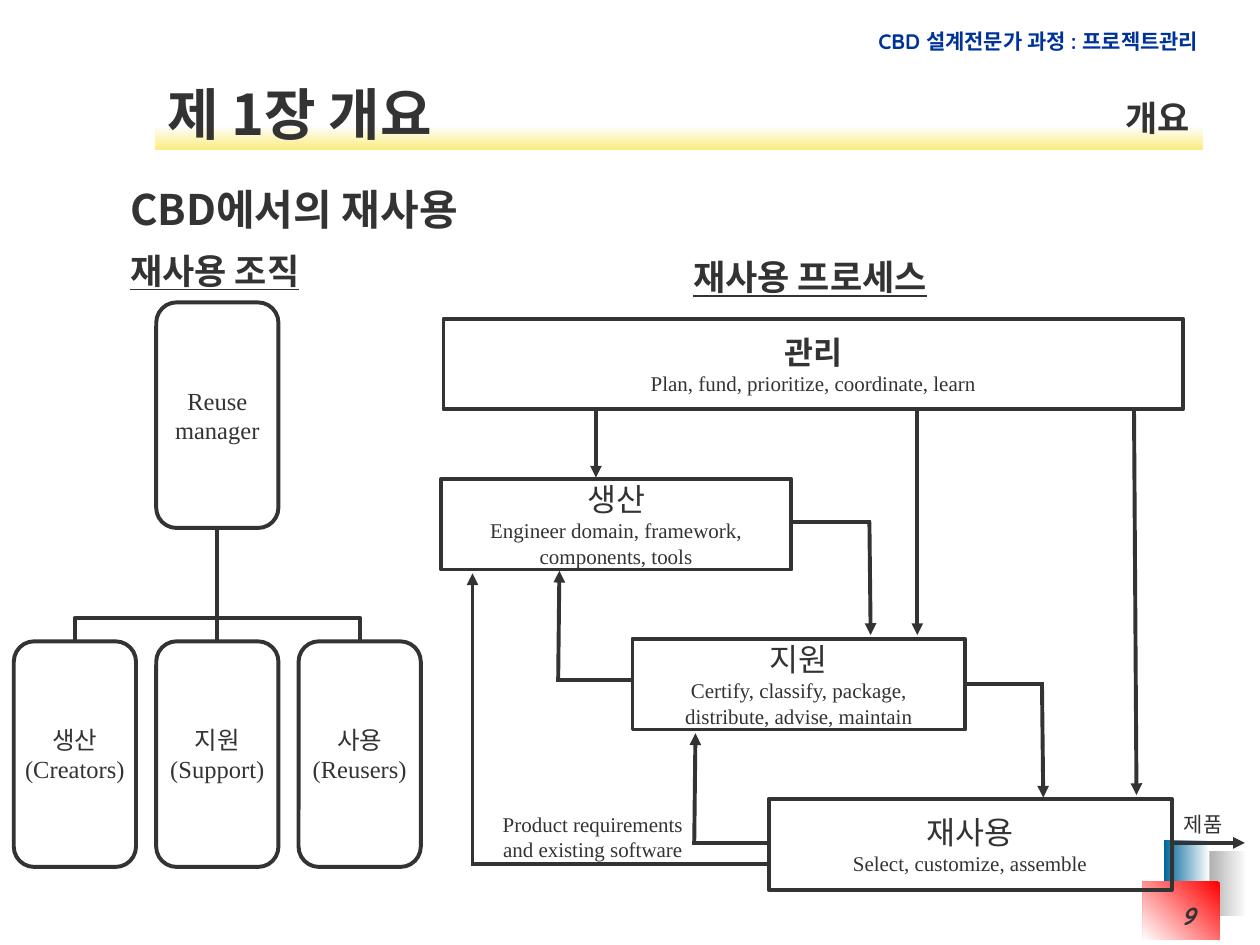
"""Build the slide on reuse roles and the reuse process in CBD."""
from itertools import pairwise

from lxml.etree import SubElement as Sub
from pptx import Presentation
from pptx.dml.color import RGBColor as Rgb
from pptx.enum.shapes import MSO_CONNECTOR as Link, MSO_SHAPE as Kind
from pptx.enum.text import MSO_ANCHOR as Anchor, MSO_AUTO_SIZE as Fit, PP_ALIGN as Align
from pptx.oxml.ns import qn
from pptx.util import Inches as In, Pt

WIDE, HIGH = 10, 7.5
HUE = {"ink": "333333", "navy": "003399", "white": "FFFFFF", "gray": "969696",
       "blue": "006699", "red": "FF0000", "pale": "FEFEFE", "gold": "FBEC7F"}
SERIF, SANS, ROUND = "Times New Roman", "Noto Sans CJK KR", "Quicksand"
SIDE = {"l": Align.LEFT, "c": Align.CENTER, "r": Align.RIGHT}

BLOCKS = [
    ((9.5, 6.75, 0.4, 0.52), "white", "gray", 180),
    ((9.24, 6.67, 0.36, 0.52), "white", "blue", 180),
    ((9.07, 7, 0.61, 0.46), "red", "white", 225),
    ((1.23, 1, 8.32, 0.19), "pale", "gold", 270),
]
STEPS = [
    (3.52, 5.87, "관리", ["Plan, fund, prioritize, coordinate, learn"]),
    (3.5, 2.78, "생산", ["Engineer domain, framework,", "components, tools"]),
    (5.02, 2.64, "지원", ["Certify, classify, package,", "distribute, advise, maintain"]),
    (6.1, 3.2, "재사용", ["Select, customize, assemble"]),
]
STEP_TOP, STEP_GAP, STEP_HIGH = 2.53, 1.27, 0.72
FLOWS = [
    [(4.73, 3.26), (4.73, 3.79)],
    [(7.28, 3.24), (7.28, 5.04)],
    [(9, 3.24), (9.02, 6.31)],
    [(9.3, 6.69), (9.88, 6.69)],
    [(5.01, 5.4), (4.43, 5.4), (4.44, 4.53)],
    [(6.09, 6.69), (5.51, 6.69), (5.52, 5.82)],
    [(6.09, 6.86), (3.75, 6.86), (3.75, 4.55)],
    [(6.28, 4.14), (6.9, 4.14), (6.91, 5.04)],
    [(7.66, 5.43), (8.27, 5.43), (8.28, 6.33)],
]
ROLES = [(1, 0, ["Reuse", "manager"]), (0, 1, ["생산", "(Creators)"]),
         (1, 1, ["지원", "(Support)"]), (2, 1, ["사용", "(Reusers)"])]
ROLE_LEFT, ROLE_TOP, COL, ROW = 0.11, 2.4, 1.13, 2.69
ROLE_WIDE, ROLE_HIGH, BEND = 0.97, 1.79, 0.208
LABELS = [
    ((6.75, 0.18, 2.86, 0.3), ["CBD 설계전문가 과정 : 프로젝트관리"],
     dict(size=12, face=ROUND, hue="navy", bold=True, side="r")),
    ((3.89, 6.39, 1.63, 0.5), ["Product requirements", "and existing software"], dict(size=12)),
    ((9.27, 6.39, 0.56, 0.3), ["제품"], dict(size=12)),
    ((5.33, 1.98, 2.2, 0.44), ["재사용 프로세스"], dict(size=20, bold=True, under=True)),
    ((0.89, 1.93, 1.63, 0.44), ["재사용 조직"],
     dict(size=20, bold=True, under=True, wrap=True)),
    ((1.23, 0.59, 2.86, 0.61), ["제 1장 개요"],
     dict(size=32, face=SANS, bold=True, side="l", mid=True, wrap=True)),
    ((8.83, 0.72, 0.71, 0.44), ["개요"], dict(size=20, face=SANS, bold=True, side="r")),
    ((0.84, 1.41, 2.89, 0.5), ["CBD에서의 재사용"],
     dict(size=24, face=SANS, bold=True, side="r")),
    ((8.35, 7.1, 1.23, 0.4), ["9"],
     dict(size=14, face=ROUND, bold=True, slant=True, side="r", wrap=True)),
]


def color(name):
    return Rgb.from_string(HUE[name])


def write(shape, lines, size=12, head=None, face=SERIF, hue="ink", bold=False, slant=False,
          under=False, side="c", mid=False, wrap=False, pad=(0.1, 0.05)):
    frame = shape.text_frame
    frame.word_wrap = wrap
    frame.auto_size = Fit.NONE if wrap or mid else Fit.SHAPE_TO_FIT_TEXT
    frame.vertical_anchor = Anchor.MIDDLE if mid else Anchor.TOP
    frame.margin_left = frame.margin_right = In(pad[0])
    frame.margin_top = frame.margin_bottom = In(pad[1])
    for i, line in enumerate(lines):
        para = frame.add_paragraph() if i else frame.paragraphs[0]
        para.alignment = SIDE[side]
        run = para.add_run()
        run.text = line
        font = run.font
        font.size = Pt(head if head and not i else size)
        font.name, font.bold, font.italic, font.underline = face, bold and not i, slant, under
        font.color.rgb = color(hue)
        Sub(run._r.rPr, qn("a:ea"), typeface=SANS)


def outline(shape):
    shape.line.color.rgb = color("ink")
    shape.line.width = Pt(2.25)


def box(slide, kind, area):
    shape = slide.shapes.add_shape(kind, *map(In, area))
    shape.shadow.inherit = False
    shape.fill.background()
    outline(shape)
    return shape


def block(slide, area, first, last, angle):
    shape = box(slide, Kind.RECTANGLE, area)
    shape.line.fill.background()
    shape.fill.gradient()
    shape.fill.gradient_angle = angle
    for stop, hue in zip(shape.fill.gradient_stops, (first, last)):
        stop.color.rgb = color(hue)


def link(slide, start, end, arrow=False, kind=Link.STRAIGHT):
    line = slide.shapes.add_connector(kind, *map(In, start + end))
    outline(line)
    edge = line.line._get_or_add_ln()
    if arrow:
        Sub(edge, qn("a:tailEnd"), type="triangle")
    else:
        edge.set("cap", "sq")
    Sub(line._element.spPr, qn("a:effectLst"))
    return line


def elbow(slide, child, root, top, base):
    span, drop = abs(child - root), base - top
    x, y = (child + root) / 2, (top + base) / 2
    turn, half = (90, drop / 2) if child < root else (270, -drop / 2)
    line = link(slide, (x + half, y + span / 2), (x - half, y - span / 2), kind=Link.ELBOW)
    props = line._element.spPr
    props.find(qn("a:xfrm")).set("rot", str(turn * 60000))
    guides = props.find(qn("a:prstGeom")).get_or_add_avLst()
    Sub(guides, qn("a:gd"), name="adj1", fmla=f"val {round(BEND * 100000)}")


def main():
    deck = Presentation()
    deck.slide_width, deck.slide_height = In(WIDE), In(HIGH)
    slide = deck.slides.add_slide(deck.slide_layouts[6])
    for item in BLOCKS:
        block(slide, *item)
    for i, (left, wide, head, lines) in enumerate(STEPS):
        area = (left, STEP_TOP + i * STEP_GAP, wide, STEP_HIGH)
        write(box(slide, Kind.RECTANGLE, area), [head] + lines, head=18, bold=i == 0, mid=True)
    for points in FLOWS:
        for start, end in pairwise(points):
            link(slide, start, end, arrow=end == points[-1])
    left, root, right = (ROLE_LEFT + ROLE_WIDE / 2 + i * COL for i in range(3))
    top, base = ROLE_TOP + ROLE_HIGH, ROLE_TOP + ROW
    elbow(slide, right, root, top, base)
    link(slide, (root, base), (root, top))
    elbow(slide, left, root, top, base)
    for col, row, lines in ROLES:
        area = (ROLE_LEFT + col * COL, ROLE_TOP + row * ROW, ROLE_WIDE, ROLE_HIGH)
        write(box(slide, Kind.ROUNDED_RECTANGLE, area), lines, size=14, mid=True, pad=(0, 0))
    for area, lines, style in LABELS:
        write(slide.shapes.add_textbox(*map(In, area)), lines, **style)
    deck.save("out.pptx")


if __name__ == "__main__":
    main()
